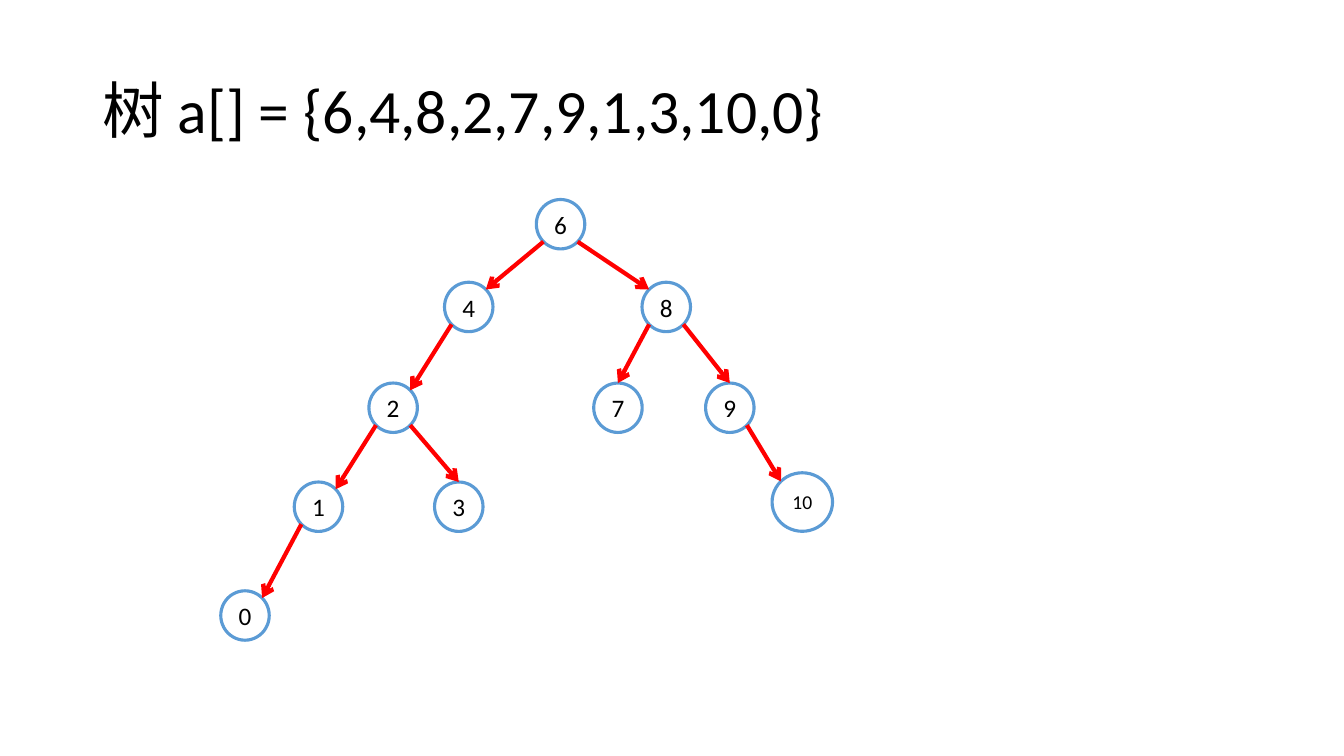
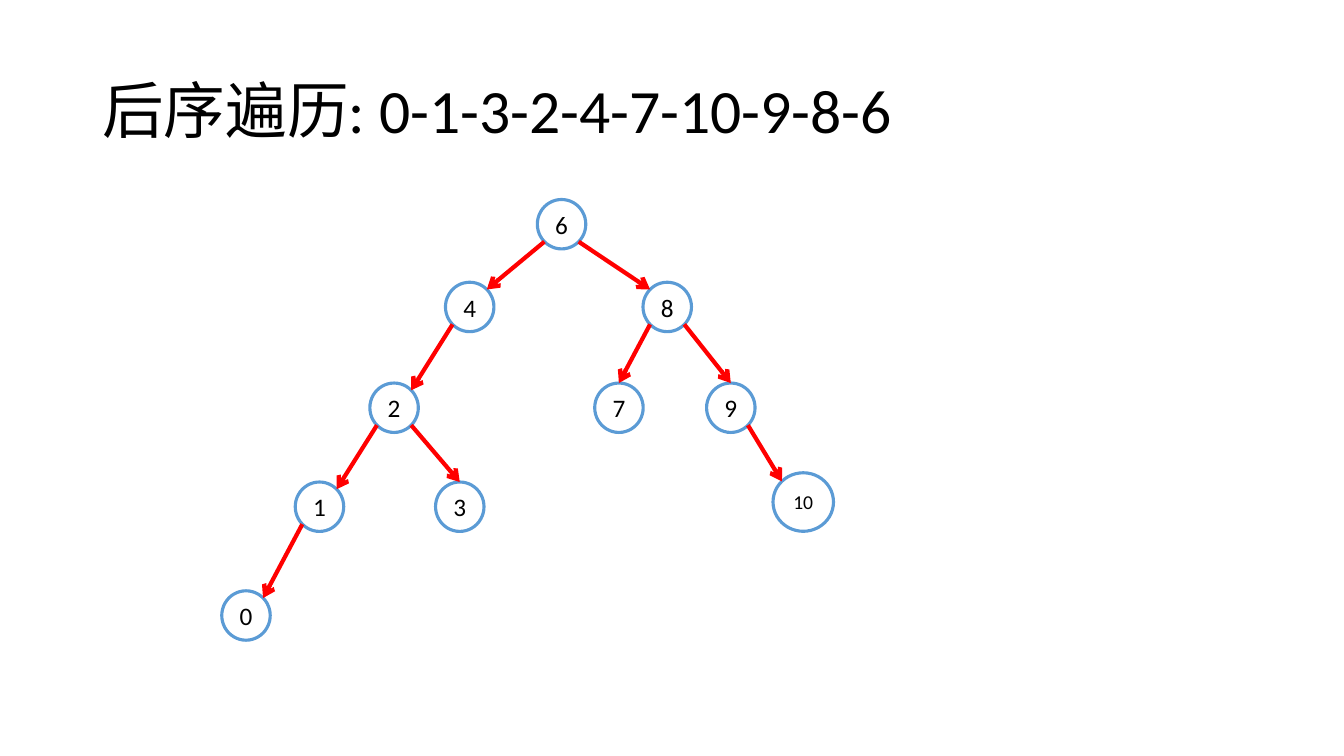
from math import sqrt
from lxml import etree
from pptx import Presentation
from pptx.dml.color import RGBColor
from pptx.enum.shapes import MSO_CONNECTOR, MSO_SHAPE
from pptx.enum.text import MSO_ANCHOR, PP_ALIGN
from pptx.oxml.ns import qn
from pptx.util import Pt

STRAIGHT = MSO_CONNECTOR.STRAIGHT
OVAL = MSO_SHAPE.OVAL
MIDDLE = MSO_ANCHOR.MIDDLE
CENTER = PP_ALIGN.CENTER

BLACK = RGBColor(0x00, 0x00, 0x00)
WHITE = RGBColor(0xFF, 0xFF, 0xFF)
BLUE = RGBColor(0x5B, 0x9B, 0xD5)
RED = RGBColor(0xFF, 0x00, 0x00)
FONT = "Calibri"

# Each slide: title and sideways shift of the tree
SLIDES = [
    ("树 a[] = {6,4,8,2,7,9,1,3,10,0}", 0),
    ("后序遍历: 0-1-3-2-4-7-10-9-8-6", 0.7),
]

# Each node: left, top, width, height, text size
SMALL = (34.6, 35.3, 18)
LARGE = (43.2, 41.8, 14)
LEVELS = [142.5, 201.6, 273.6, 344.3, 422]
NODES = {
    "6": (383.1, LEVELS[0], *SMALL),
    "4": (317.5, LEVELS[1], *SMALL),
    "8": (458.6, LEVELS[1], *SMALL),
    "2": (263.5, LEVELS[2], *SMALL),
    "3": (310.4, LEVELS[3], *SMALL),
    "7": (424.1, LEVELS[2], *SMALL),
    "9": (504, LEVELS[2], *SMALL),
    "1": (210.2, LEVELS[3], *SMALL),
    "10": (551.5, 337.7, *LARGE),
    "0": (157.7, LEVELS[4], *SMALL),
}

# Each edge: parent, child, whether it ends at the top of the child
EDGES = [
    ("6", "4", False), ("4", "2", False), ("2", "1", False),
    ("1", "0", False), ("2", "3", True), ("8", "9", True),
    ("8", "7", True), ("9", "10", False), ("6", "8", False),
]


def write(box, text, size, **paragraph_format):
    box.text_frame.vertical_anchor = MIDDLE
    para = box.text_frame.paragraphs[0]
    for name, value in paragraph_format.items():
        setattr(para, name, value)
    span = para.add_run()
    span.text = text
    for name, value in {"name": FONT, "size": Pt(size)}.items():
        setattr(span.font, name, value)
    span.font.color.rgb = BLACK


def diagonal_point(node, side, end):
    """Point on the ellipse at 45 degrees; side and end are -1 or 1."""
    width, height = node.width, node.height
    x = node.left + width / 2 + side * width / sqrt(8)
    y = node.top + height / 2 + end * height / sqrt(8)
    return round(x), round(y)


deck = Presentation()
deck.slide_width, deck.slide_height = Pt(960), Pt(540)

for title, shift in SLIDES:
    page = deck.slides.add_slide(deck.slide_layouts[6])

    # Title
    box = page.shapes.add_textbox(Pt(66), Pt(28.75), Pt(828), Pt(104.4))
    box.text_frame.word_wrap = True
    write(box, title, 44, line_spacing=0.9)

    # Nodes
    nodes = {}
    for label, (left, top, width, height, size) in NODES.items():
        node = page.shapes.add_shape(
            OVAL, Pt(left + shift), Pt(top), Pt(width), Pt(height))
        node.shadow.inherit = False
        node.fill.solid()
        node.fill.fore_color.rgb = WHITE
        node.line.color.rgb = BLUE
        node.line.width = Pt(2.25)
        write(node, label, size, alignment=CENTER)
        nodes[label] = node

    # Arrows from parent to child
    for parent_label, child_label, to_top in EDGES:
        parent, child = nodes[parent_label], nodes[child_label]
        side = 1 if child.left > parent.left else -1
        start = diagonal_point(parent, side, 1)
        finish = diagonal_point(child, -side, -1)
        arrow = page.shapes.add_connector(STRAIGHT, *start, *finish)
        if to_top:
            arrow.end_connect(child, 0)
        arrow.line.color.rgb = RED
        arrow.line.width = Pt(3)
        etree.SubElement(arrow.line._get_or_add_ln(), qn("a:tailEnd"), type="arrow")
        etree.SubElement(arrow._element.spPr, qn("a:effectLst"))

deck.save("out.pptx")
